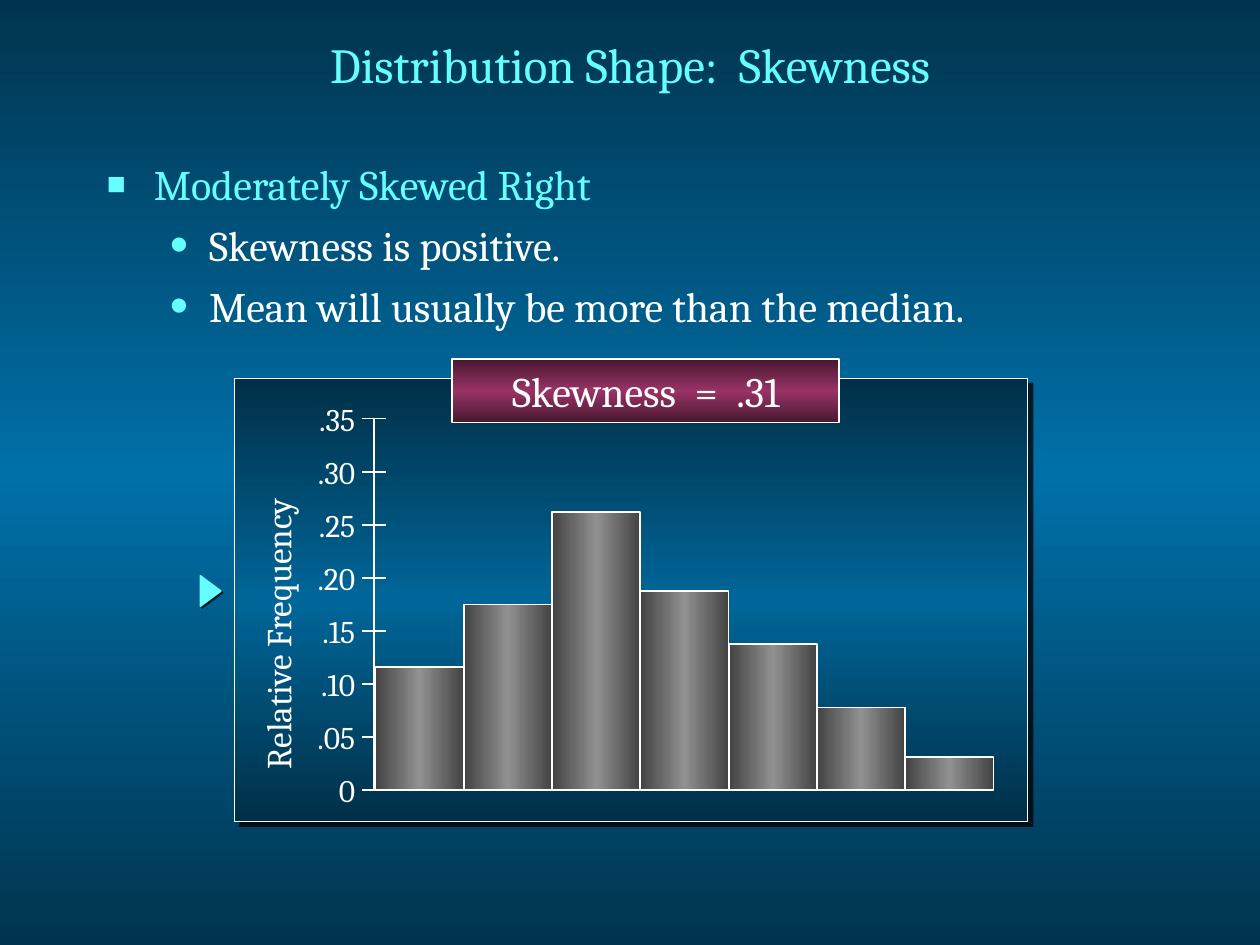
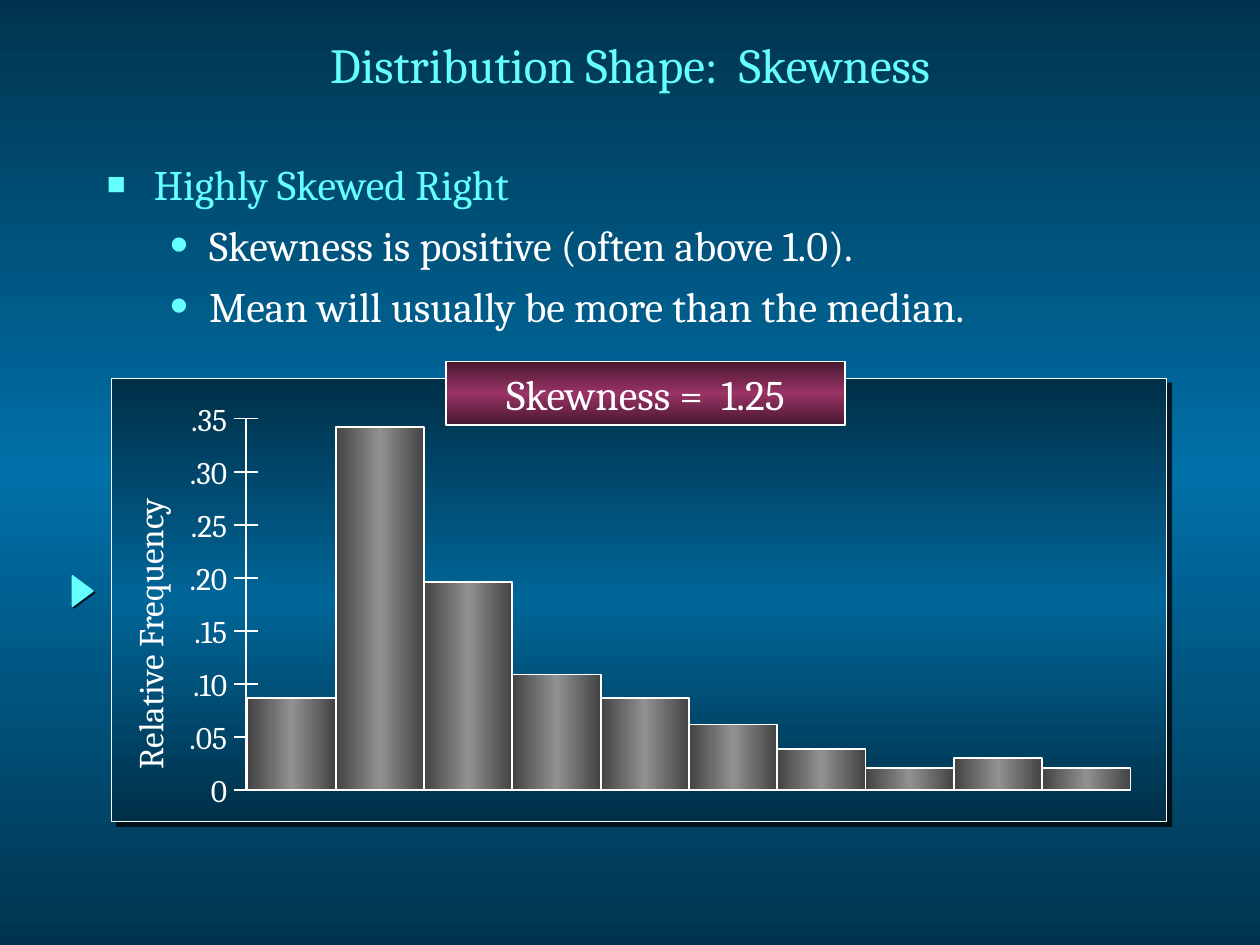
from copy import deepcopy
from dataclasses import dataclass

from lxml.etree import SubElement
from pptx import Presentation
from pptx.dml.color import RGBColor as Rgb
from pptx.enum.shapes import MSO_CONNECTOR as Connector, MSO_SHAPE as Shape
from pptx.enum.text import MSO_ANCHOR as Anchor, PP_ALIGN as Align
from pptx.oxml.ns import qn
from pptx.util import Cm, Pt


@dataclass(frozen=True)
class Theme:
    font: str = "Cambria"
    accent: Rgb = Rgb(0x66, 0xFF, 0xFF)
    light: Rgb = Rgb(0xFF, 0xFF, 0xFF)
    # Gradients run edge, middle, edge
    background: tuple = (Rgb(0x00, 0x34, 0x4E), Rgb(0x00, 0x70, 0xA8))
    panel: tuple = (Rgb(0x00, 0x2F, 0x47), Rgb(0x00, 0x66, 0x99))
    bar: tuple = (Rgb(0x43, 0x43, 0x43), Rgb(0x91, 0x91, 0x91))
    banner: tuple = (Rgb(0x47, 0x18, 0x2F), Rgb(0x99, 0x33, 0x66))
    title_size: int = 28
    body_size: int = 24
    axis_title_size: int = 20
    tick_size: int = 18


@dataclass(frozen=True)
class Box:
    """A rectangle in centimetres."""
    left: float
    top: float
    width: float
    height: float

    def lengths(self):
        return [Cm(value) for value in (self.left, self.top, self.width, self.height)]


THEME = Theme()
TITLE_BOX = Box(1.9, 0.15, 21.6, 2.26)
BODY_BOX = Box(1.9, 3.07, 21.6, 4.0)
TICK_STEP = 1.07      # height of five percent on the axis
TICK_PERCENT = 5
TICK_COUNT = 8
BAR_WIDTH = 1.78


# Formatting helpers

def paint_gradient(fill, element, colors, angle):
    edge, middle = colors
    fill.gradient()
    fill.gradient_angle = angle
    stop_list = element.find(".//" + qn("a:gsLst"))
    stop_list.insert(1, deepcopy(stop_list[0]))
    for stop, color, position in zip(fill.gradient_stops, (edge, middle, edge), (0, 0.5, 1)):
        stop.color.rgb = color
        stop.position = position


def add_shadow(properties, distance):
    effects = properties.find(qn("a:effectLst"))
    if effects is None:
        effects = SubElement(properties, qn("a:effectLst"))
    shadow = SubElement(effects, qn("a:outerShdw"), blurRad="0",
                        dist=str(Pt(distance)), dir="2700000", algn="ctr", rotWithShape="0")
    color = SubElement(shadow, qn("a:srgbClr"), val="000000")
    SubElement(color, qn("a:alpha"), val="75000")


def format_font(paragraph, size, color):
    font = paragraph.font
    font.name, font.size, font.color.rgb = THEME.font, Pt(size), color


def add_bullet(paragraph, symbol, percent, left, hanging):
    properties = paragraph._p.get_or_add_pPr()
    properties.set("marL", str(Cm(left)))
    properties.set("indent", str(-Cm(hanging)))
    color = SubElement(properties, qn("a:buClr"))
    SubElement(color, qn("a:srgbClr"), val=str(THEME.accent))
    SubElement(properties, qn("a:buSzPct"), val=str(percent * 1000))
    SubElement(properties, qn("a:buFont"), typeface="Arial")
    SubElement(properties, qn("a:buChar"), char=symbol)


def add_rectangle(slide, box, colors, angle, line_width=1.0):
    shape = slide.shapes.add_shape(Shape.RECTANGLE, *box.lengths())
    shape.shadow.inherit = False
    paint_gradient(shape.fill, shape.element, colors, angle)
    shape.line.color.rgb = THEME.light
    shape.line.width = Pt(line_width)
    return shape


def add_line(slide, start_x, start_y, end_x, end_y):
    line = slide.shapes.add_connector(
        Connector.STRAIGHT, Cm(start_x), Cm(start_y), Cm(end_x), Cm(end_y))
    line.line.color.rgb = THEME.light
    line.line.width = Pt(1)
    SubElement(line.element.spPr, qn("a:effectLst"))


def add_axis_text(slide, box, text, size, align):
    text_box = slide.shapes.add_textbox(*box.lengths())
    frame = text_box.text_frame
    frame.word_wrap = True
    frame.vertical_anchor = Anchor.MIDDLE
    frame.margin_left = 0
    paragraph = frame.paragraphs[0]
    paragraph.alignment = align
    run = paragraph.add_run()
    run.text = text
    add_shadow(run._r.get_or_add_rPr(), 1.4)
    format_font(paragraph, size, THEME.light)
    return text_box


# Slide regions

def prepare_layout(presentation):
    master = presentation.slide_master
    paint_gradient(master.background.fill, master.element, THEME.background, 90)
    layout = presentation.slide_layouts[1]
    for placeholder, box in zip(layout.placeholders, (TITLE_BOX, BODY_BOX)):
        (placeholder.left, placeholder.top,
         placeholder.width, placeholder.height) = box.lengths()
    return layout


def fill_title(slide, text):
    frame = slide.shapes.title.text_frame
    frame.text = text
    frame.vertical_anchor = Anchor.MIDDLE
    paragraph = frame.paragraphs[0]
    paragraph.alignment = Align.CENTER
    format_font(paragraph, THEME.title_size, THEME.accent)


def fill_body(slide, heading, points):
    frame = slide.placeholders[1].text_frame
    frame.text = "\n".join([heading, *points])
    for index, paragraph in enumerate(frame.paragraphs):
        is_point = index > 0
        paragraph.level = int(is_point)
        paragraph.space_before = Pt(6 if is_point else 0)
        if is_point:
            add_bullet(paragraph, "•", 125, 2.06, 0.79)
        else:
            add_bullet(paragraph, "■", 75, 0.95, 0.95)
        format_font(paragraph, THEME.body_size, THEME.light if is_point else THEME.accent)


def add_panel(slide, box):
    panel = add_rectangle(slide, box, THEME.panel, 90, line_width=0.5)
    add_shadow(panel.element.spPr, 4.2)


def add_pointer(slide, box):
    pointer = slide.shapes.add_shape(Shape.ISOSCELES_TRIANGLE, *box.lengths())
    pointer.rotation = 90
    pointer.shadow.inherit = False
    pointer.fill.solid()
    pointer.fill.fore_color.rgb = THEME.accent
    pointer.line.color.rgb = THEME.accent
    pointer.line.width = Pt(1)
    add_shadow(pointer.element.spPr, 1.4)


def add_histogram(slide, panel, axis_x, percents):
    """Draw the axes and touching bars inside the panel."""
    base_y = panel.top + panel.height - 0.63

    # Value axis with ticks and labels
    for index in range(TICK_COUNT):
        y = base_y - index * TICK_STEP
        if index:
            add_line(slide, axis_x - 0.25, y, axis_x + 0.25, y)
        label = f".{index * TICK_PERCENT:02d}" if index else "0"
        add_axis_text(slide, Box(axis_x - 1.5, y - 0.5, 1.37, 1.0),
                      label, THEME.tick_size, Align.RIGHT)
    add_line(slide, axis_x, base_y, axis_x, base_y - (TICK_COUNT - 1) * TICK_STEP)
    add_line(slide, axis_x - 0.25, base_y, axis_x + len(percents) * BAR_WIDTH, base_y)

    # Axis title, read upwards
    title = add_axis_text(slide, Box(axis_x - 5.2, panel.top + 4.09, 6.5, 1.09),
                          "Relative Frequency", THEME.axis_title_size, Align.LEFT)
    title.rotation = 270

    # Bars
    for index, percent in enumerate(percents):
        height = percent * TICK_STEP / TICK_PERCENT
        bar = Box(axis_x + 0.03 + index * BAR_WIDTH, base_y - height, BAR_WIDTH, height)
        add_rectangle(slide, bar, THEME.bar, 0)


def add_banner(slide, box, text):
    frame = add_rectangle(slide, box, THEME.banner, 90).text_frame
    frame.word_wrap = False
    frame.vertical_anchor = Anchor.MIDDLE
    frame.text = text
    paragraph = frame.paragraphs[0]
    paragraph.alignment = Align.CENTER
    format_font(paragraph, THEME.body_size, THEME.light)


def add_skewness_slide(presentation, layout, heading, points,
                       panel, axis_x, percents, banner, skewness):
    slide = presentation.slides.add_slide(layout)
    fill_title(slide, "Distribution Shape:  Skewness")
    fill_body(slide, heading, points)
    add_panel(slide, panel)
    add_pointer(slide, Box(axis_x - 3.6, panel.top + 4.09, 0.61, 0.41))
    add_histogram(slide, panel, axis_x, percents)
    add_banner(slide, banner, skewness)


def main():
    presentation = Presentation()
    presentation.slide_width, presentation.slide_height = Cm(25.4), Cm(19.05)
    layout = prepare_layout(presentation)
    mean_point = "Mean will usually be more than the median."

    add_skewness_slide(
        presentation, layout, "Moderately Skewed Right",
        ["Skewness is positive.", mean_point],
        panel=Box(4.72, 7.62, 16.0, 8.94), axis_x=7.54,
        percents=[11.6, 17.5, 26.2, 18.8, 13.8, 7.8, 3.1],
        banner=Box(9.12, 7.24, 7.8, 1.28), skewness="Skewness  =  .31")
    add_skewness_slide(
        presentation, layout, "Highly Skewed Right",
        ["Skewness is positive (often above 1.0).", mean_point],
        panel=Box(2.24, 7.62, 21.28, 8.94), axis_x=4.96,
        percents=[8.7, 34.2, 19.6, 10.9, 8.7, 6.2, 3.9, 2.1, 3.0, 2.1],
        banner=Box(8.99, 7.29, 8.05, 1.28), skewness="Skewness =  1.25")

    presentation.save("out.pptx")


if __name__ == "__main__":
    main()
